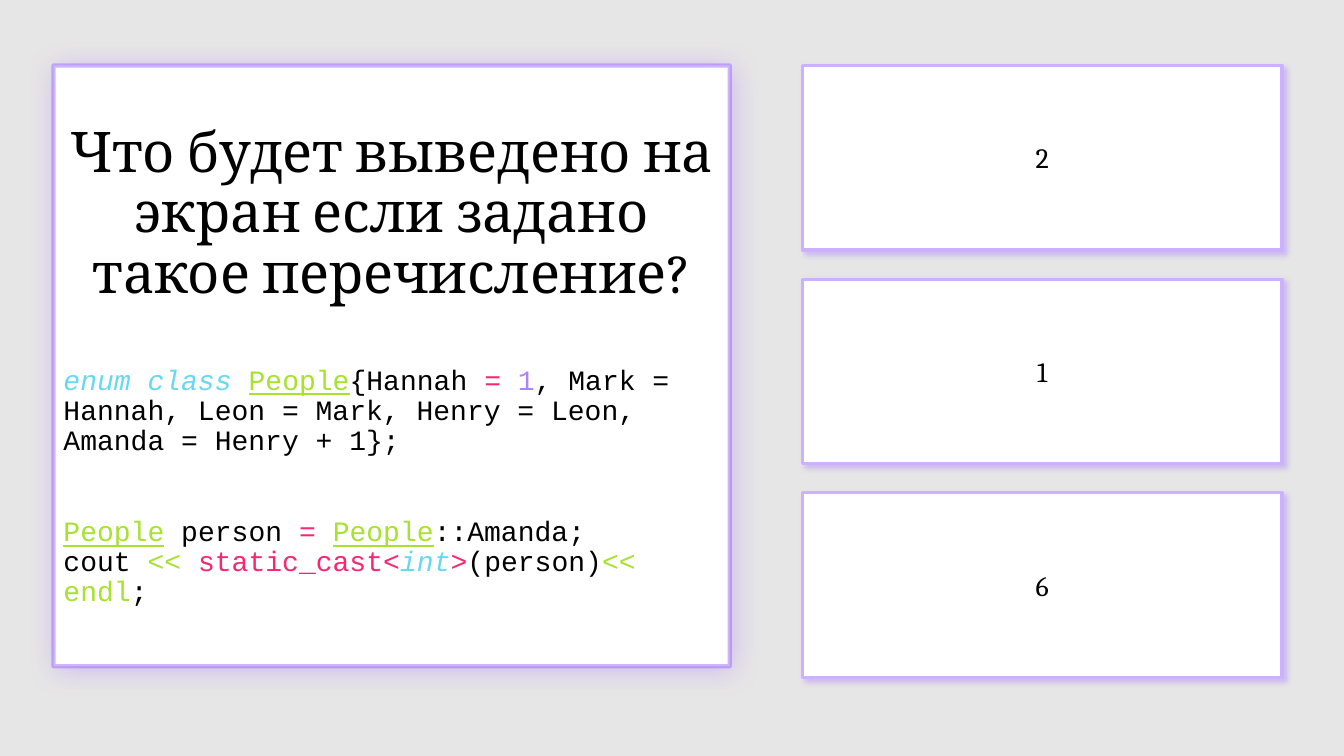
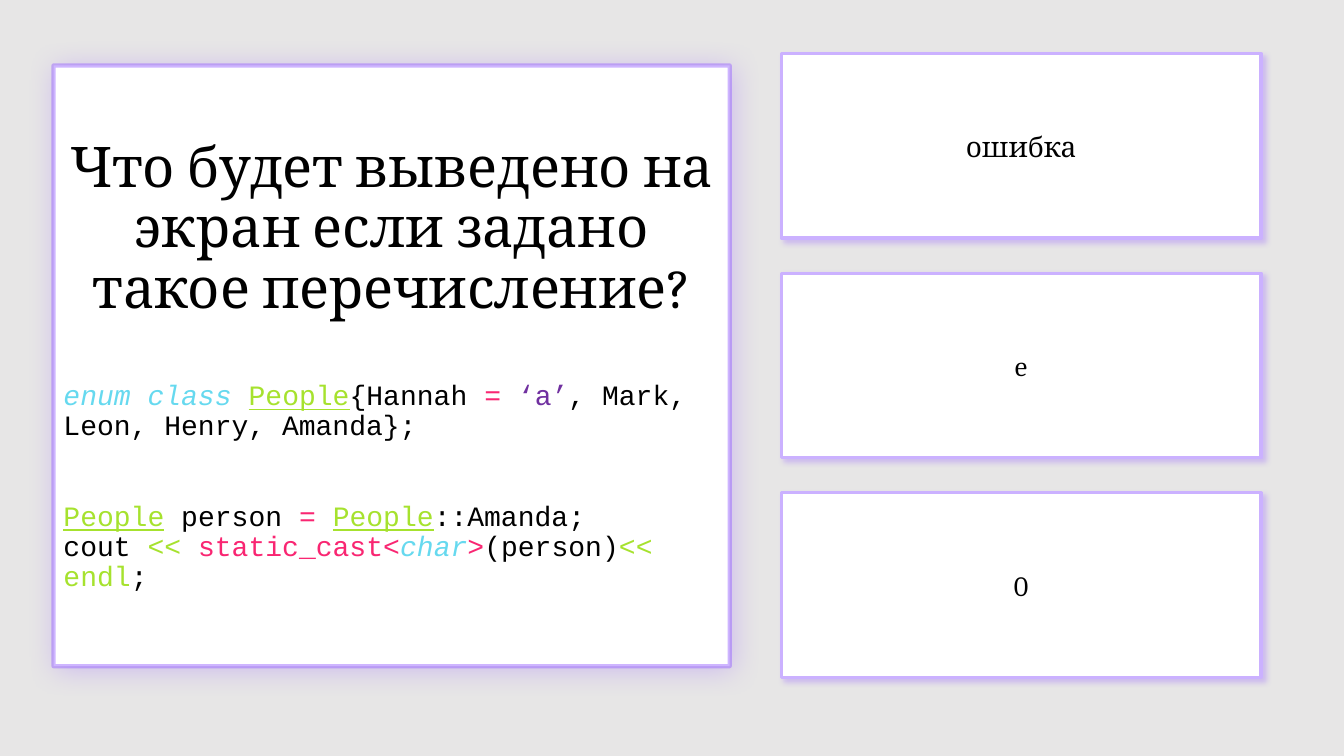
"""Build two quiz slides on C++ enumerations."""
from dataclasses import dataclass

from lxml import etree
from pptx import Presentation
from pptx.dml.color import RGBColor
from pptx.enum.shapes import MSO_SHAPE
from pptx.enum.text import MSO_ANCHOR, PP_ALIGN
from pptx.oxml.ns import qn
from pptx.util import Cm, Pt

RECT = MSO_SHAPE.RECTANGLE
MIDDLE = MSO_ANCHOR.MIDDLE
LEFT, CENTER = PP_ALIGN.LEFT, PP_ALIGN.CENTER


@dataclass(frozen=True)
class Theme:
    """Colours, fonts and sizes in points."""
    back: str = "E7E6E6"
    paper: str = "FFFFFF"
    ink: str = "000000"
    edge: str = "CBB1FF"
    glow: str = "9966FF"
    serif: str = "Cambria"
    mono: str = "Courier New"
    title: int = 40
    body: int = 20
    gap: float = 43.2
    tight: float = 0.9


T = Theme()
STYLES = {
    "plain": {"color": T.ink},
    "key": {"color": "66D9EF", "italic": True},
    "type": {"color": "A6E22E", "under": True},
    "flow": {"color": "A6E22E"},
    "op": {"color": "F92672"},
    "num": {"color": "AE81FF"},
    "char": {"color": "7030A0"},
}
ASK = "Что будет выведено на экран если задано такое перечисление?"
QUIZ = [
    {
        "first": ("num", "1"),
        "rest": ", Mark = Hannah, Leon = Mark, Henry = Leon, Amanda = Henry + 1};",
        "cast": "int",
        "answers": ["2", "1", "6"],
        "left": 20.22,
        "top": 1.65,
    },
    {
        "first": ("char", "‘a’"),
        "rest": ", Mark, Leon, Henry, Amanda};",
        "cast": "char",
        "answers": ["ошибка", "e", "0"],
        "left": 19.69,
        "top": 1.35,
    },
]
PANEL = (1.35, 1.65, 17.04, 15.14)
CARD = (12.09, 4.65)
LAST = 12.42


def code(item):
    """Return the code lines of a question as styled runs."""
    return [
        [("key", "enum class "), ("type", "People"), ("plain", "{Hannah "),
         ("op", "= "), item["first"], ("plain", item["rest"])],
        [("type", "People"), ("plain", " person "), ("op", "= "),
         ("type", "People"), ("plain", "::Amanda;")],
        [("plain", "cout "), ("flow", "<< "), ("op", "static_cast<"),
         ("key", item["cast"]), ("op", ">"), ("plain", "(person)"),
         ("flow", "<< endl"), ("plain", ";")],
    ]


def write(para, runs, font=T.serif, size=T.body, align=CENTER, line=None, before=0):
    """Fill a paragraph with styled runs."""
    para.alignment = align
    para.line_spacing = line
    para.space_before = Pt(before)
    for name, text in runs:
        style = STYLES[name]
        run = para.add_run()
        run.text = text
        run.font.name = font
        run.font.size = Pt(size)
        run.font.color.rgb = RGBColor.from_string(style["color"])
        run.font.italic = style.get("italic", False)
        run.font.underline = style.get("under", False)


def fade(color, share):
    """Set the opacity of a colour element in percent."""
    etree.SubElement(color, qn("a:alpha"), val=str(share * 1000))


def box(slide, place, edge, width, blur, share):
    """Add a white framed box with a soft shadow."""
    shape = slide.shapes.add_shape(RECT, *map(Cm, place))
    shape.fill.solid()
    shape.fill.fore_color.rgb = RGBColor.from_string(T.paper)
    shape.line.color.rgb = RGBColor.from_string(edge)
    shape.line.width = Pt(width)
    shape.shadow.inherit = False
    effects = shape._element.spPr.find(qn("a:effectLst"))
    shade = etree.SubElement(
        effects, qn("a:outerShdw"), blurRad=str(Pt(blur)), dist=str(Pt(3)),
        dir=str(45 * 60000), algn="tl", rotWithShape="0")
    fade(etree.SubElement(shade, qn("a:srgbClr"), val=T.glow), share)
    shape.text_frame.word_wrap = True
    shape.text_frame.vertical_anchor = MIDDLE
    return shape


def panel(slide, item):
    """Add the question with its code."""
    shape = box(slide, PANEL, T.glow, 3, 20, 34)
    fade(shape.line._ln.find(".//" + qn("a:srgbClr")), 47)
    frame = shape.text_frame
    write(frame.paragraphs[0], [("plain", ASK)], size=T.title, line=T.tight)
    for runs, before in zip(code(item), (T.gap, T.gap, 0)):
        write(frame.add_paragraph(), runs, font=T.mono, align=LEFT,
              line=T.tight, before=before)


def cards(slide, item):
    """Add the answers, evenly spaced down to the last row."""
    step = (LAST - item["top"]) / (len(item["answers"]) - 1)
    for row, answer in enumerate(item["answers"]):
        place = (item["left"], item["top"] + row * step, *CARD)
        frame = box(slide, place, T.edge, 2.25, 4, 32).text_frame
        frame.margin_left = frame.margin_right = 0
        frame.margin_top = frame.margin_bottom = 0
        write(frame.paragraphs[0], [("plain", answer)])


def main():
    """Build and save the deck."""
    deck = Presentation()
    deck.slide_width, deck.slide_height = Cm(33.87), Cm(19.05)
    for item in QUIZ:
        slide = deck.slides.add_slide(deck.slide_layouts[6])
        slide.background.fill.solid()
        slide.background.fill.fore_color.rgb = RGBColor.from_string(T.back)
        cards(slide, item)
        panel(slide, item)
    deck.save("out.pptx")


if __name__ == "__main__":
    main()
